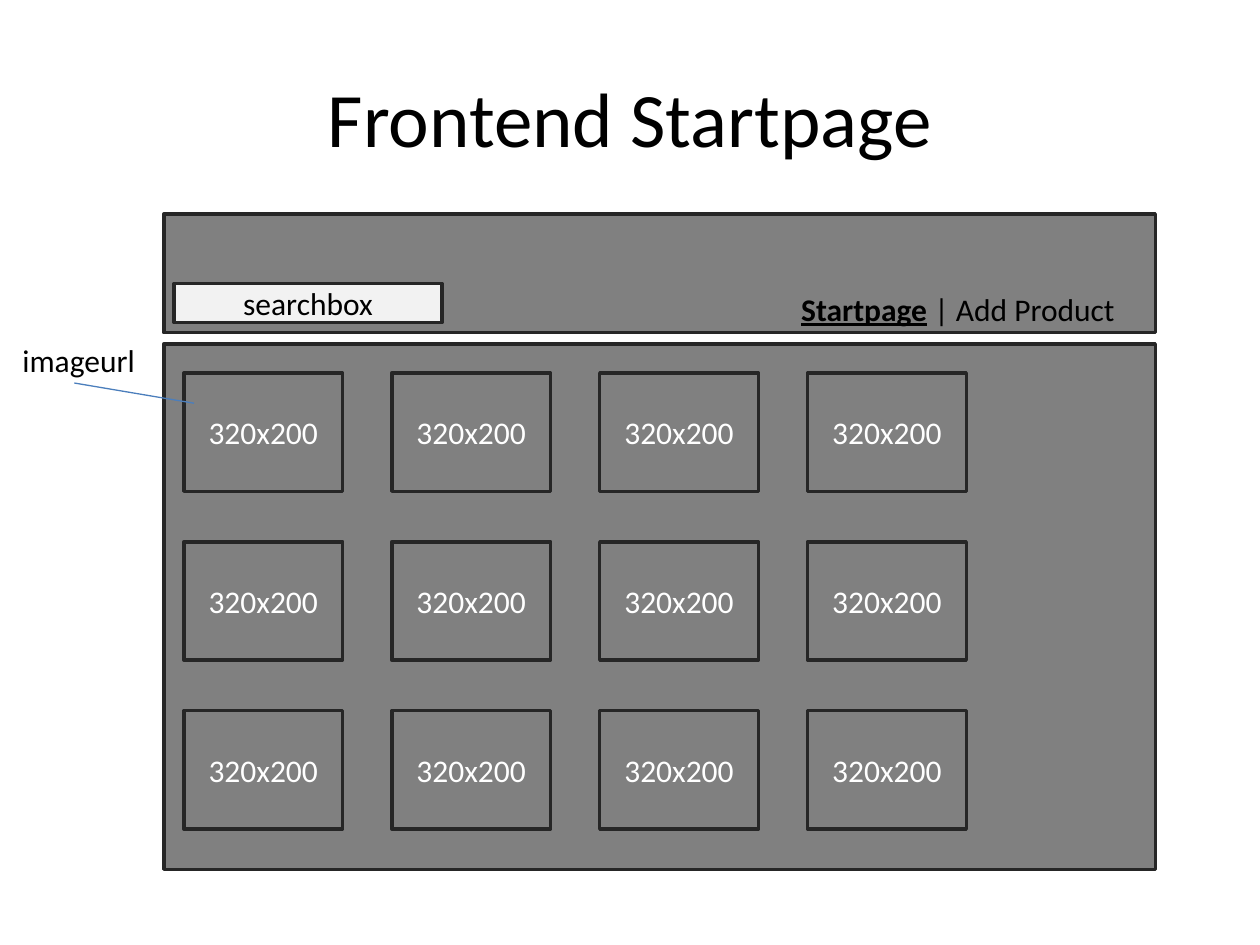
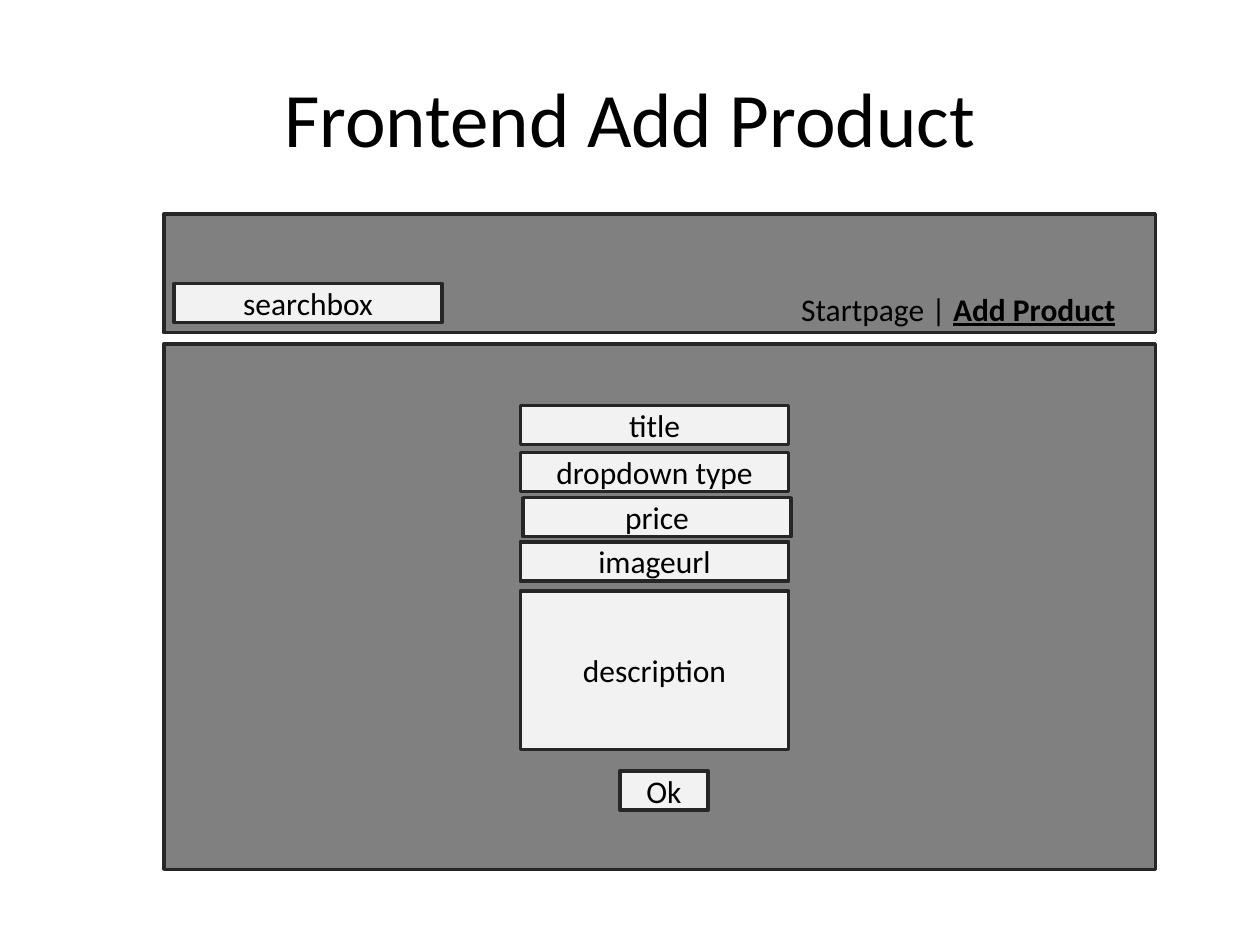
"""Build two wireframe slides of a product shop frontend."""
from lxml import etree
from pptx import Presentation
from pptx.dml.color import RGBColor
from pptx.enum.shapes import MSO_CONNECTOR, MSO_SHAPE
from pptx.enum.text import MSO_ANCHOR as ANCHOR, MSO_AUTO_SIZE as AUTO, PP_ALIGN as ALIGN
from pptx.oxml.ns import qn
from pptx.util import Inches, Pt

FONT = "Calibri"
COLORS = {
    "panel": "808080",
    "field": "F2F2F2",
    "border": "262626",
    "pointer": "4B7EBC",
    "dark": "000000",
    "light": "FFFFFF",
}
FIELD_W, FIELD_H = 2.13, 0.31
IMAGE_W, IMAGE_H = 1.26, 0.94


def rgb(name):
    return RGBColor.from_string(COLORS[name])


class Wireframe:
    """Holds the style and the current slide."""

    def __init__(self, prs):
        self.prs = prs
        self.s = None

    def new_slide(self, title, menu):
        self.s = self.prs.slides.add_slide(self.prs.slide_layouts[6])
        tf = self.text([(title, False)], 0.5, 0.3, 9, 1.25, size=44)
        tf.vertical_anchor = ANCHOR.MIDDLE
        tf.paragraphs[0].alignment = ALIGN.CENTER
        self.box(1.3, 1.7, 7.87, 0.94)
        self.box(1.3, 2.73, 7.87, 4.17)
        self.field("searchbox", 1.38, 2.25)
        self.text(menu, 6.26, 2.25, 2.91, 0.4, auto=AUTO.SHAPE_TO_FIT_TEXT)

    def run(self, p, text, color="dark", size=18, active=False):
        r = p.add_run()
        r.text = text
        r.font.name = FONT
        r.font.size = Pt(size)
        r.font.bold = r.font.underline = active
        r.font.color.rgb = rgb(color)

    def text(self, runs, x, y, w, h, size=18, wrap=True, auto=AUTO.NONE):
        tb = self.s.shapes.add_textbox(Inches(x), Inches(y), Inches(w), Inches(h))
        tf = tb.text_frame
        tf.word_wrap = wrap
        tf.auto_size = auto
        for text, active in runs:
            self.run(tf.paragraphs[0], text, size=size, active=active)
        return tf

    def box(self, x, y, w, h, text="", fill="panel", color="light"):
        sp = self.s.shapes.add_shape(
            MSO_SHAPE.RECTANGLE, Inches(x), Inches(y), Inches(w), Inches(h))
        sp.shadow.inherit = False
        sp.fill.solid()
        sp.fill.fore_color.rgb = rgb(fill)
        sp.line.color.rgb = rgb("border")
        sp.line.width = Pt(2)
        if text:
            tf = sp.text_frame
            tf.vertical_anchor = ANCHOR.MIDDLE
            p = tf.paragraphs[0]
            p.alignment = ALIGN.CENTER
            self.run(p, text, color)

    def field(self, text, x, y, w=FIELD_W, h=FIELD_H):
        self.box(x, y, w, h, text, "field", "dark")

    def pointer(self, x1, y1, x2, y2):
        cn = self.s.shapes.add_connector(
            MSO_CONNECTOR.STRAIGHT, Inches(x1), Inches(y1), Inches(x2), Inches(y2))
        cn.line.color.rgb = rgb("pointer")
        cn.line.width = Pt(0.75)
        etree.SubElement(cn.element.spPr, qn("a:effectLst"))


def build_startpage(wf):
    wf.new_slide("Frontend Startpage", [("Startpage", True), (" | Add Product", False)])
    for row in range(3):
        for col in range(4):
            wf.box(1.46 + 1.65 * col, 2.96 + 1.34 * row, IMAGE_W, IMAGE_H, "320x200")
    wf.pointer(0.59, 3.04, 1.54, 3.2)
    wf.text([("imageurl", False)], 0.08, 2.66, 1.1, 0.4,
            wrap=False, auto=AUTO.SHAPE_TO_FIT_TEXT)


def build_add_product(wf):
    wf.new_slide("Frontend Add Product", [("Startpage | ", False), ("Add Product", True)])
    for label, x, y in [("title", 4.13, 3.22), ("dropdown type", 4.13, 3.59),
                        ("price", 4.15, 3.95), ("imageurl", 4.13, 4.3)]:
        wf.field(label, x, y)
    wf.field("description", 4.13, 4.69, h=1.26)
    wf.field("Ok", 4.92, 6.12, w=0.7)


def main():
    prs = Presentation()
    prs.slide_width, prs.slide_height = Inches(10), Inches(7.5)
    wf = Wireframe(prs)
    build_startpage(wf)
    build_add_product(wf)
    prs.save("out.pptx")


if __name__ == "__main__":
    main()
